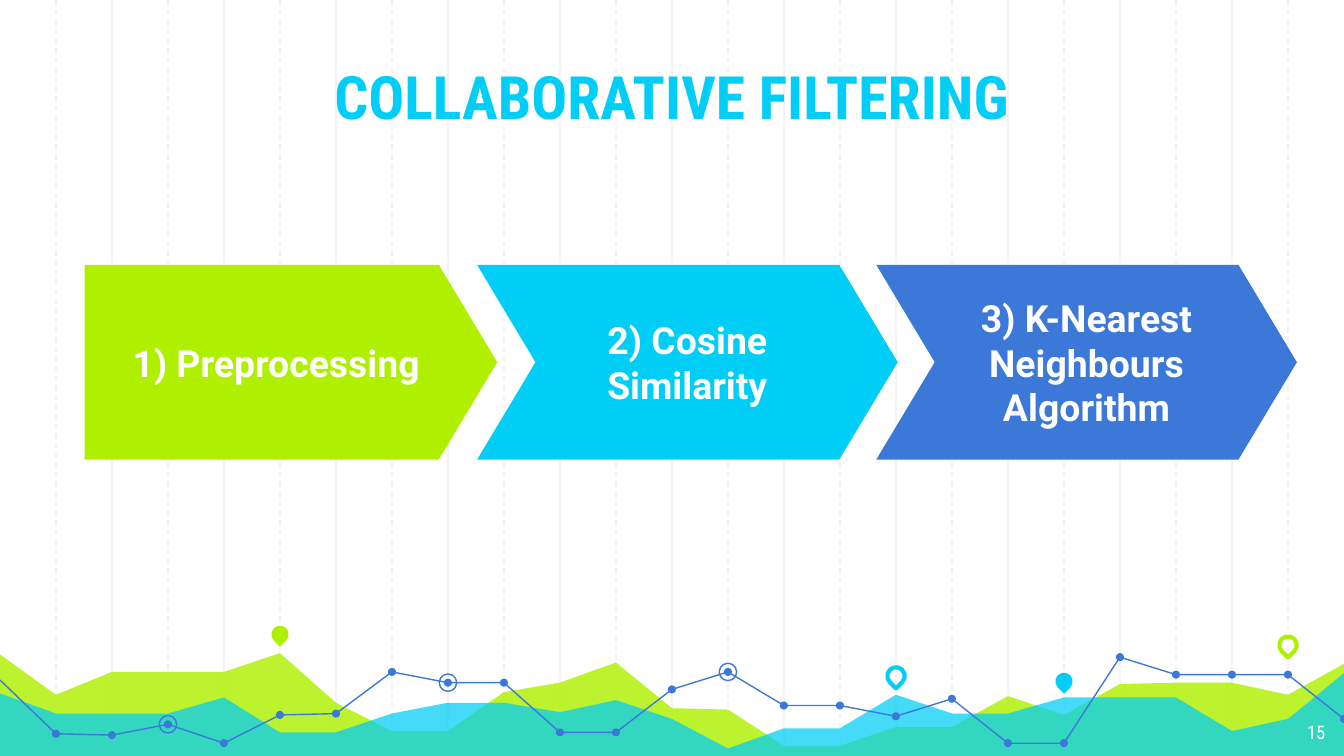
from pptx import Presentation
from pptx.dml.color import RGBColor
from pptx.enum.dml import MSO_LINE
from pptx.enum.shapes import MSO_CONNECTOR, MSO_SHAPE as SHAPE
from pptx.enum.text import MSO_ANCHOR as ANCHOR, PP_ALIGN as ALIGN
from pptx.oxml.ns import qn
from pptx.util import Inches, Pt
from lxml.etree import SubElement

W, H = 10, 5.625
COLUMNS = 24
STEP = W / COLUMNS
GREEN, CYAN, BLUE, GRID, WHITE = "AFF000", "00CEF6", "3C78D8", "F3F3F3", "FFFFFF"

# Heights on the grid columns, measured from the top of the slide
GREEN_HILLS = [4.87, 5.17, 5, 5, 5, 4.86, 5.23, 5.44, 5.44, 5.15, 5.08, 4.93, 5.27,
               5.28, 5.55, 5.55, 5.41, 5.41, 5.18, 5.32, 5.09, 5.08, 5.08, 5.17, 4.94]
CYAN_HILLS = [5.16, 5.31, 5.31, 5.31, 5.19, 5.45, 5.45, 5.31, 5.23, 5.23, 5.3, 5.21, 5.35,
              5.57, 5.42, 5.42, 5.17, 5.31, 5.31, 5.19, 5.19, 5.19, 5.44, 5.35, 5.01]
TREND = [5.06, 5.46, 5.47, 5.39, 5.53, 5.32, 5.31, 5, 5.08, 5.08, 5.45, 5.45, 5.13,
         5, 5.25, 5.25, 5.33, 5.2, 5.53, 5.53, 4.89, 5.02, 5.02, 5.02, 5.35]
RINGED = [3, 8, 13]
PINS = [(5, 4.72, GREEN, True), (16, 5.03, CYAN, False),
        (19, 5.07, CYAN, True), (23, 4.8, GREEN, False)]  # column, y, colour, solid
STEPS = [("1) Preprocessing", SHAPE.PENTAGON, 0.63, 3.07, GREEN),
         ("2) Cosine Similarity", SHAPE.CHEVRON, 3.55, 3.13, CYAN),
         ("3) K-Nearest Neighbours Algorithm", SHAPE.CHEVRON, 6.52, 3.13, BLUE)]


def rgb(value):
    return RGBColor.from_string(value)


def paint(sp, fill=None, line=None, width=0.75, alpha=None):
    sp.shadow.inherit = False
    if fill:
        sp.fill.solid()
        sp.fill.fore_color.rgb = rgb(fill)
        if alpha:
            color = sp.fill._xPr.find(qn("a:solidFill"))[0]
            SubElement(color, qn("a:alpha")).set("val", str(alpha * 1000))
    else:
        sp.fill.background()
    if line:
        sp.line.color.rgb = rgb(line)
        sp.line.width = Pt(width)
    else:
        sp.line.fill.background()


def write(sp, text, size=20, font="Roboto", color=WHITE, bold=False,
          align=ALIGN.CENTER, anchor=ANCHOR.MIDDLE):
    tf = sp.text_frame
    tf.word_wrap = True
    tf.vertical_anchor = anchor
    tf.margin_left = tf.margin_right = tf.margin_top = tf.margin_bottom = Inches(0.1)
    p = tf.paragraphs[0]
    p.alignment = align
    r = p.add_run()
    r.text = text
    r.font.size, r.font.name, r.font.bold = Pt(size), font, bold
    r.font.color.rgb = rgb(color)


def add_centred(s, kind, x, y, size):
    return s.shapes.add_shape(kind, Inches(x - size / 2), Inches(y - size / 2),
                              Inches(size), Inches(size))


def add_outline(s, points, close):
    points = [(Inches(x), Inches(y)) for x, y in points]
    builder = s.shapes.build_freeform(*points[0])
    builder.add_line_segments(points[1:], close=close)
    return builder.convert_to_shape()


def on_columns(heights, left):
    return [(left + i * STEP, y) for i, y in enumerate(heights)]


def add_grid(s, left, top, height):
    """Vertical rules, dashed on the odd columns."""
    for i in range(1, COLUMNS):
        x = Inches(left + i * STEP)
        line = s.shapes.add_connector(MSO_CONNECTOR.STRAIGHT, x, Inches(top),
                                      x, Inches(top + height))
        line.line.color.rgb = rgb(GRID)
        line.line.width = Pt(0.75)
        if i % 2:
            line.line.dash_style = MSO_LINE.DASH
        SubElement(line._element.spPr, qn("a:effectLst"))


def add_landscape(s, left, bottom):
    for heights, color, alpha in [(GREEN_HILLS, GREEN, 82), (CYAN_HILLS, CYAN, 73)]:
        base = [(left + W, bottom), (left, bottom)]
        paint(add_outline(s, on_columns(heights, left) + base, True), color, alpha=alpha)

    trend = on_columns(TREND, left)
    paint(add_outline(s, trend, False), line=BLUE)
    for x, y in trend[1:]:
        paint(add_centred(s, SHAPE.OVAL, x, y, 0.06), BLUE)
    for i in RINGED:
        paint(add_centred(s, SHAPE.OVAL, *trend[i], 0.13), line=BLUE)

    for column, y, color, solid in PINS:
        pin = add_centred(s, SHAPE.TEAR, left + column * STEP, y, 0.13)
        pin.rotation = 135
        paint(pin, color if solid else None, None if solid else color, 2.25)


def add_process(s, top, height):
    for text, kind, left, width, color in STEPS:
        sp = s.shapes.add_shape(kind, Inches(left), Inches(top), Inches(width), Inches(height))
        sp.adjustments[0] = 0.3
        paint(sp, color)
        write(sp, text, bold=True)


def add_label(s, text, left, top, width, height, **fmt):
    box = s.shapes.add_textbox(Inches(left), Inches(top), Inches(width), Inches(height))
    write(box, text, font="Roboto Condensed", **fmt)


def main():
    prs = Presentation()
    prs.slide_width, prs.slide_height = Inches(W), Inches(H)
    s = prs.slides.add_slide(prs.slide_layouts[6])
    add_grid(s, 0, 0, H)
    add_landscape(s, 0, H)
    add_process(s, 1.97, 1.45)
    add_label(s, "15", 9.36, 5.28, 0.6, 0.35, size=10, align=ALIGN.RIGHT, anchor=ANCHOR.TOP)
    add_label(s, "COLLABORATIVE FILTERING", 0, 0.3, W, 0.78, size=32, color=CYAN,
              bold=True, anchor=ANCHOR.BOTTOM)
    prs.save("out.pptx")


if __name__ == "__main__":
    main()
